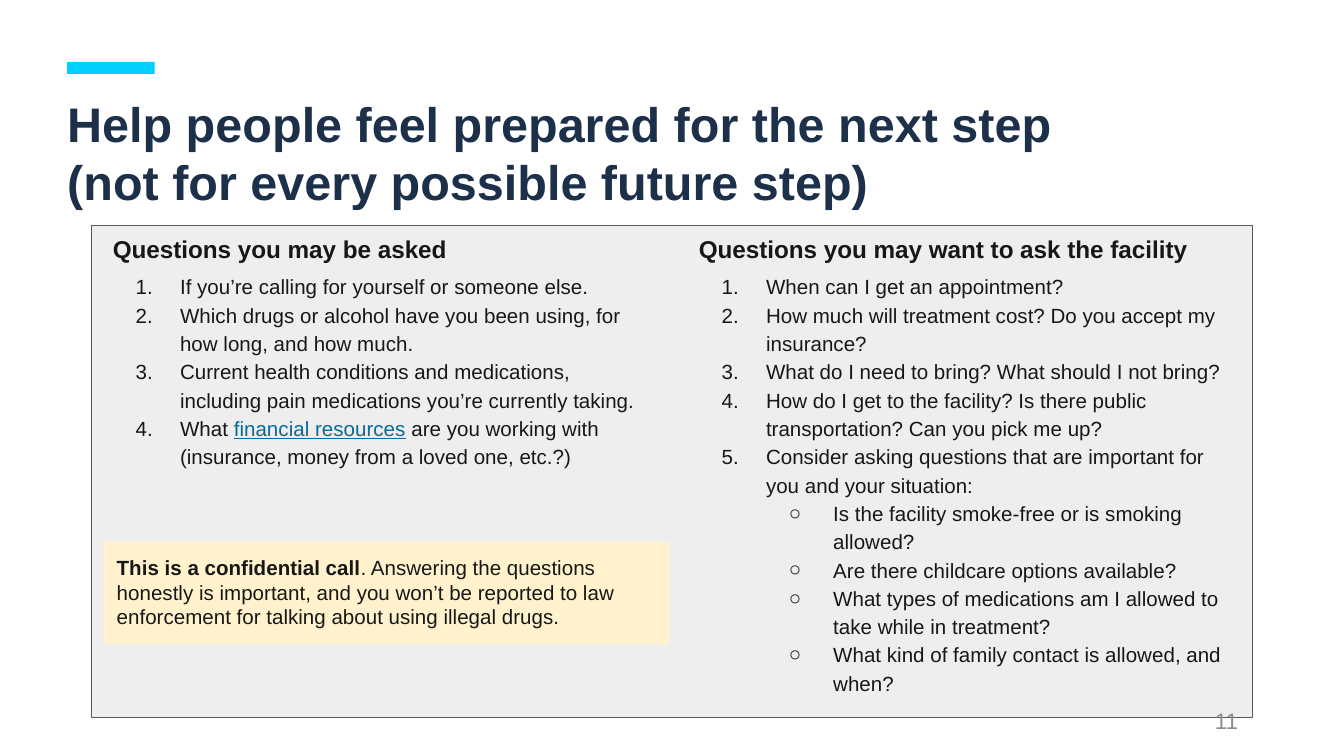
from pptx import Presentation
from pptx import util as u
from pptx.dml import color
from pptx.enum import shapes, text
from pptx.oxml import ns
from lxml import etree

FONT = "Arial"
INK = "171717"
LINK = "046B99"
ASKED = [
    (0, ["If you’re calling for yourself or someone else."]),
    (0, ["Which drugs or alcohol have you been using, for how long, and how much."]),
    (0, ["Current health conditions and medications, including pain medications "
         "you’re currently taking."]),
    (0, ["What ", "financial resources",
         " are you working with (insurance, money from a loved one, etc.?)"]),
]
TO_ASK = [
    (0, ["When can I get an appointment?"]),
    (0, ["How much will treatment cost? Do you accept my insurance?"]),
    (0, ["What do I need to bring? What should I not bring?"]),
    (0, ["How do I get to the facility? Is there public transportation? "
         "Can you pick me up?"]),
    (0, ["Consider asking questions that are important for you and your situation:"]),
    (1, ["Is the facility smoke-free or is smoking allowed?"]),
    (1, ["Are there childcare options available?"]),
    (1, ["What types of medications am I allowed to take while in treatment?"]),
    (1, ["What kind of family contact is allowed, and when?"]),
]


def rgb(value):
    """Return the colour for a hex string."""
    return color.RGBColor.from_string(value)


def style(font, size, shade=INK, bold=False):
    """Set the face, size, colour and weight of a font."""
    font.name = FONT
    font.size = u.Pt(size)
    font.bold = bold
    font.color.rgb = rgb(shade)


def add_box(slide, left, top, width, height, fill, line=None):
    """Add a filled rectangle, outlined when a line colour is given."""
    shape = slide.shapes.add_shape(
        shapes.MSO_SHAPE.RECTANGLE,
        u.Inches(left), u.Inches(top), u.Inches(width), u.Inches(height))
    shape.shadow.inherit = False
    shape.fill.solid()
    shape.fill.fore_color.rgb = rgb(fill)
    if line:
        shape.line.color.rgb = rgb(line)
        shape.line.width = u.Pt(0.75)
    else:
        shape.line.fill.background()
    return shape


def prepare_frame(shape, inset, anchor):
    """Wrap the text of a shape and set its insets and anchor."""
    frame = shape.text_frame
    frame.word_wrap = True
    frame.vertical_anchor = anchor
    frame.margin_left = frame.margin_right = u.Inches(inset)
    frame.margin_top = frame.margin_bottom = u.Inches(inset)
    return frame


def add_text(slide, left, top, width, height, inset=0, anchor=text.MSO_ANCHOR.TOP):
    """Add a text box and return its text frame."""
    box = slide.shapes.add_textbox(
        u.Inches(left), u.Inches(top), u.Inches(width), u.Inches(height))
    return prepare_frame(box, inset, anchor)


def add_bullet(paragraph, level):
    """Number a top-level item, or give a nested item a ring."""
    paragraph.level = level
    properties = paragraph._p.get_or_add_pPr()
    properties.set("marL", str(u.Inches(0.5 * (level + 1))))
    properties.set("indent", str(u.Inches(-0.33)))
    bullet_color = etree.SubElement(properties, ns.qn("a:buClr"))
    etree.SubElement(bullet_color, ns.qn("a:srgbClr"), val=INK)
    etree.SubElement(properties, ns.qn("a:buFont"), typeface=FONT)
    if level:
        etree.SubElement(properties, ns.qn("a:buChar"), char="○")
    else:
        etree.SubElement(properties, ns.qn("a:buAutoNum"), type="arabicPeriod")


def add_questions(slide, left, heading, questions):
    """Add a column with a heading and a list of questions."""
    frame = add_text(slide, left, 1.71, 3.96, 2.88)
    title = frame.paragraphs[0]
    title.text = heading
    title.line_spacing = 1.15
    style(title.runs[0].font, 13, bold=True)
    for index, (level, parts) in enumerate(questions):
        paragraph = frame.add_paragraph()
        add_bullet(paragraph, level)
        paragraph.line_spacing = 1.15
        paragraph.space_before = u.Pt(0 if index else 4)
        for part in parts:
            run = paragraph.add_run()
            run.text = part
            linked = part == "financial resources"
            style(run.font, 11, LINK if linked else INK)
            if linked:
                run.font.underline = True


def add_callout(slide):
    """Add the note about confidentiality."""
    shape = add_box(slide, 0.77, 4.03, 4.21, 0.76, "FFF2CC")
    paragraph = prepare_frame(shape, 0.1, text.MSO_ANCHOR.TOP).paragraphs[0]
    paragraph.alignment = text.PP_ALIGN.LEFT
    parts = [
        ("This is a confidential call", True),
        (". Answering the questions honestly is important, and you won’t be "
         "reported to law enforcement for talking about using illegal drugs.", False),
    ]
    for words, bold in parts:
        run = paragraph.add_run()
        run.text = words
        style(run.font, 11, bold=bold)


def add_title(slide):
    """Add the slide title."""
    frame = add_text(slide, 0.5, 0.7, 8.08, 0.92)
    frame.text = ("Help people feel prepared for the next step "
                  "(not for every possible future step)")
    style(frame.paragraphs[0].runs[0].font, 26, "1C304A", bold=True)


def add_page_number(slide):
    """Add the page number at the lower right."""
    frame = add_text(slide, 7.06, 5.21, 2.25, 0.3, 0.1, text.MSO_ANCHOR.MIDDLE)
    frame.margin_top = frame.margin_bottom = u.Inches(0.05)
    frame.text = "11"
    paragraph = frame.paragraphs[0]
    paragraph.alignment = text.PP_ALIGN.RIGHT
    style(paragraph.runs[0].font, 12, "8C8C8C")


def main():
    """Build and save the slide."""
    presentation = Presentation()
    presentation.slide_width = u.Inches(10)
    presentation.slide_height = u.Inches(10 * 9 / 16)
    slide = presentation.slides.add_slide(presentation.slide_layouts[6])
    add_box(slide, 0.5, 0.46, 0.65, 0.09, "00CFFF")
    add_title(slide)
    add_box(slide, 0.68, 1.68, 8.64, 3.66, "EEEEEE", "595959")
    add_questions(slide, 0.84, "Questions you may be asked", ASKED)
    add_callout(slide)
    add_questions(slide, 5.2, "Questions you may want to ask the facility", TO_ASK)
    add_page_number(slide)
    presentation.save("out.pptx")


if __name__ == "__main__":
    main()
